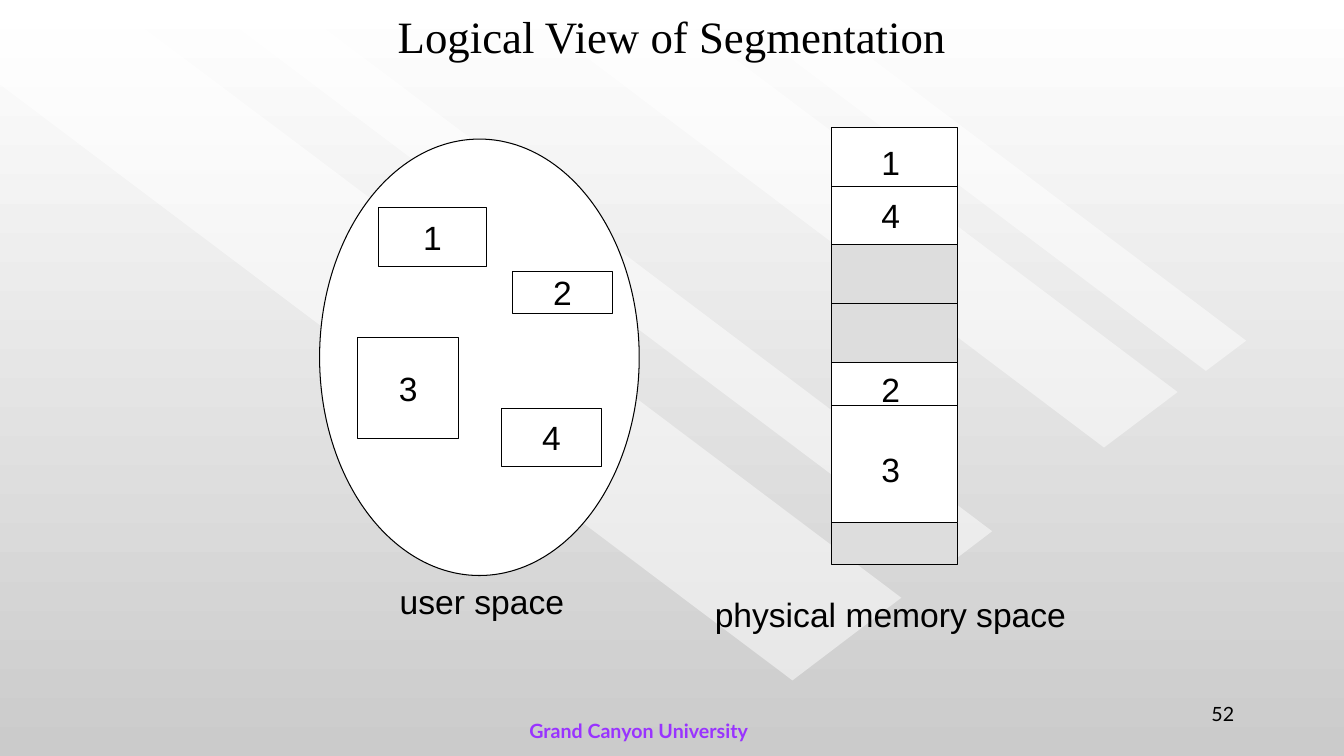
import pptx
import pptx.util
import pptx.dml.color
import pptx.enum.shapes
import pptx.enum.text
import pptx.oxml
import pptx.oxml.ns
from lxml import etree

Inches = pptx.util.Inches
Pt = pptx.util.Pt
RGBColor = pptx.dml.color.RGBColor
SHAPE = pptx.enum.shapes.MSO_SHAPE
ALIGN = pptx.enum.text.PP_ALIGN

BLACK = RGBColor(0x00, 0x00, 0x00)
WHITE = RGBColor(0xFF, 0xFF, 0xFF)
FREE_GRAY = RGBColor(0xDD, 0xDD, 0xDD)
BACKDROP_GRAY = RGBColor(0xCB, 0xCB, 0xCB)
PURPLE = RGBColor(0x99, 0x33, 0xFF)

# Content: light bands across the background, as corner points
BANDS = [
    [(8.94, 5.93), (1.06, 0), (0, 0), (0, 0.84), (7.86, 6.75)],
    [(2.85, 0), (9.84, 5.27), (9.42, 5.59), (1.99, 0)],
    [(6.52, 0), (11.68, 3.89), (10.95, 4.44), (5.06, 0)],
    [(7.07, 0), (11.96, 3.68), (12.36, 3.38), (7.88, 0)],
]

# Content: text, box, font, size, colour, bold, alignment
LABELS = [
    ("Logical View of Segmentation", (1, 0.01, 11.33, 0.68),
     "Times New Roman", 32, BLACK, False, ALIGN.CENTER),
    ("Grand Canyon University", (4.75, 7, 3.17, 0.5),
     "Lato", 14, PURPLE, True, ALIGN.CENTER),
    ("user space", (3.81, 5.71, 1.94, 0.5),
     "Arial", 24, BLACK, False, ALIGN.CENTER),
    ("physical memory space", (6.97, 5.84, 3.72, 0.5),
     "Arial", 24, BLACK, False, ALIGN.CENTER),
    ("52", (9.56, 6.83, 2.78, 0.5),
     "Lato", 14, BLACK, False, ALIGN.RIGHT),
]

# Content: segments in user space
USER_SPACE = (3.17, 1.38, 3.17, 4.33)
SEGMENTS = [
    ("1", (3.75, 2.06, 1.08, 0.58)),
    ("3", (3.55, 3.35, 1, 1)),
    ("2", (5.08, 2.69, 1, 0.42)),
    ("4", (4.97, 4.05, 1, 0.58)),
]

# Content: physical memory from the top, as height and fill
MEMORY_LEFT, MEMORY_TOP, MEMORY_WIDTH = 8.25, 1.27, 1.25
MEMORY_BLOCKS = [(1.16, WHITE), (1.17, FREE_GRAY), (1.58, WHITE), (0.42, FREE_GRAY)]
HALVED_BLOCKS = [0, 1]
SEGMENT_2_BOTTOM = 4.02
MEMORY_NUMBERS = [("1", 1.35), ("4", 1.88), ("2", 3.6), ("3", 4.4)]
NUMBER_LEFT, NUMBER_WIDTH, NUMBER_HEIGHT = 8.64, 0.39, 0.51


def write(shape, text, font="Arial", size=24, color=BLACK, bold=False,
          align=ALIGN.CENTER):
    frame = shape.text_frame
    frame.word_wrap = False
    frame.vertical_anchor = pptx.enum.text.MSO_ANCHOR.MIDDLE
    paragraph = frame.paragraphs[0]
    paragraph.text = text
    paragraph.alignment = align
    paragraph.font.name = font
    paragraph.font.size = Pt(size)
    paragraph.font.bold = bold
    paragraph.font.color.rgb = color


def add_label(slide, text, box, *style):
    write(slide.shapes.add_textbox(*map(Inches, box)), text, *style)


def add_outlined(slide, kind, box, fill):
    shape = slide.shapes.add_shape(kind, *map(Inches, box))
    shape.shadow.inherit = False
    shape.fill.solid()
    shape.fill.fore_color.rgb = fill
    shape.line.color.rgb = BLACK
    shape.line.width = Pt(0.75)
    return shape


def add_divider(slide, top, block=None):
    left, right = Inches(MEMORY_LEFT), Inches(MEMORY_LEFT + MEMORY_WIDTH)
    line = slide.shapes.add_connector(
        pptx.enum.shapes.MSO_CONNECTOR.STRAIGHT, left, Inches(top), right, Inches(top))
    line.line.color.rgb = BLACK
    line.line.width = Pt(0.75)
    etree.SubElement(line._element.spPr, pptx.oxml.ns.qn("a:effectLst"))
    if block is not None:
        line.begin_connect(block, 1)
        line.end_connect(block, 3)


def add_band(slide, points):
    corners = [(Inches(x), Inches(y)) for x, y in points]
    builder = slide.shapes.build_freeform(*corners[0])
    builder.add_line_segments(corners[1:], close=True)
    band = builder.convert_to_shape()
    band.shadow.inherit = False
    band.line.fill.background()
    band.fill.solid()
    band.fill.fore_color.rgb = WHITE
    color = band._element.spPr.find(".//" + pptx.oxml.ns.qn("a:srgbClr"))
    etree.SubElement(color, pptx.oxml.ns.qn("a:alpha"), val="50000")


def main():
    presentation = pptx.Presentation()
    presentation.slide_width = Inches(13.33)
    presentation.slide_height = Inches(7.5)
    slide = presentation.slides.add_slide(presentation.slide_layouts[6])

    # Background
    backdrop = slide.background.fill
    backdrop.gradient()
    backdrop.gradient_angle = 270
    for stop, color in zip(backdrop.gradient_stops, (WHITE, BACKDROP_GRAY)):
        stop.color.rgb = color
    for points in BANDS:
        add_band(slide, points)

    # Title, captions and footer
    for label in LABELS:
        add_label(slide, *label)

    # User space
    add_outlined(slide, SHAPE.OVAL, USER_SPACE, WHITE)
    for number, box in SEGMENTS:
        write(add_outlined(slide, SHAPE.RECTANGLE, box, WHITE), number)

    # Physical memory
    top = MEMORY_TOP
    for index, (height, fill) in enumerate(MEMORY_BLOCKS):
        box = (MEMORY_LEFT, top, MEMORY_WIDTH, height)
        block = add_outlined(slide, SHAPE.RECTANGLE, box, fill)
        if index in HALVED_BLOCKS:
            add_divider(slide, top + height / 2, block)
        top += height
    add_divider(slide, SEGMENT_2_BOTTOM)
    for number, number_top in MEMORY_NUMBERS:
        add_label(slide, number,
                  (NUMBER_LEFT, number_top, NUMBER_WIDTH, NUMBER_HEIGHT))

    presentation.save("out.pptx")


if __name__ == "__main__":
    main()
